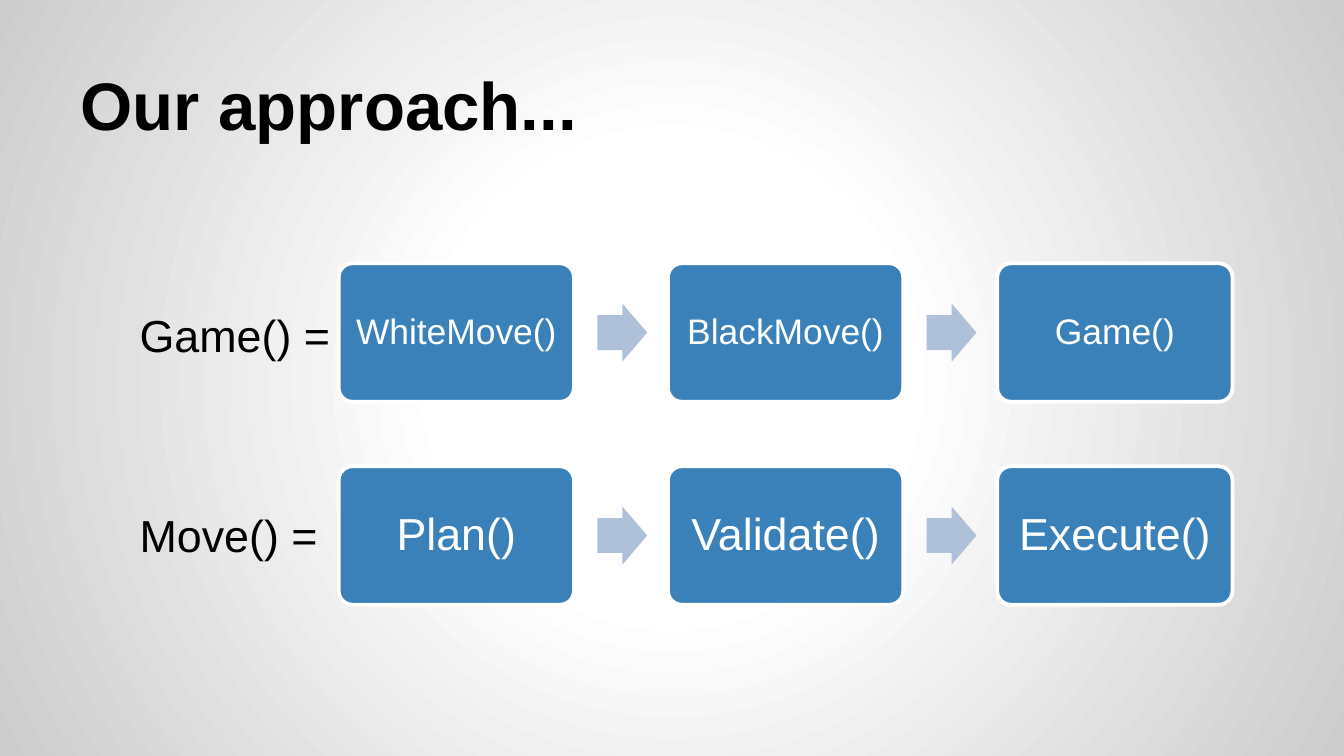
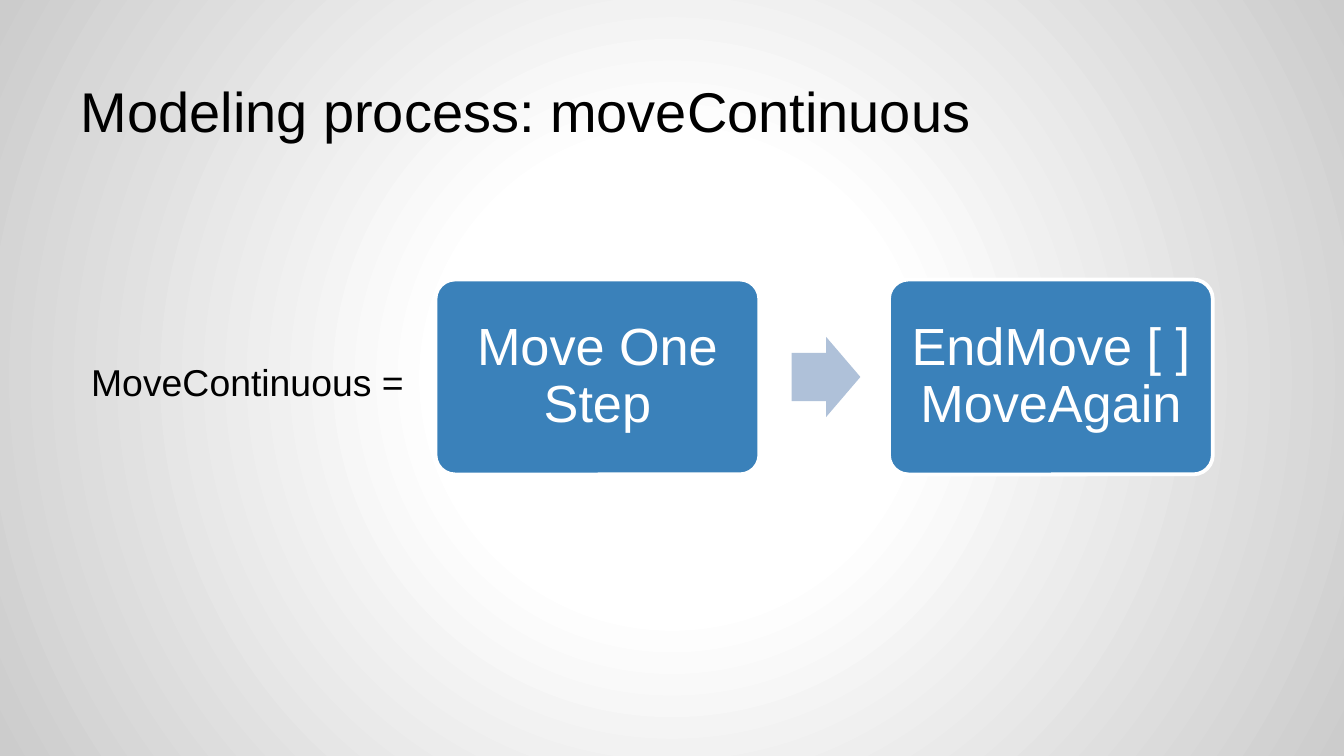
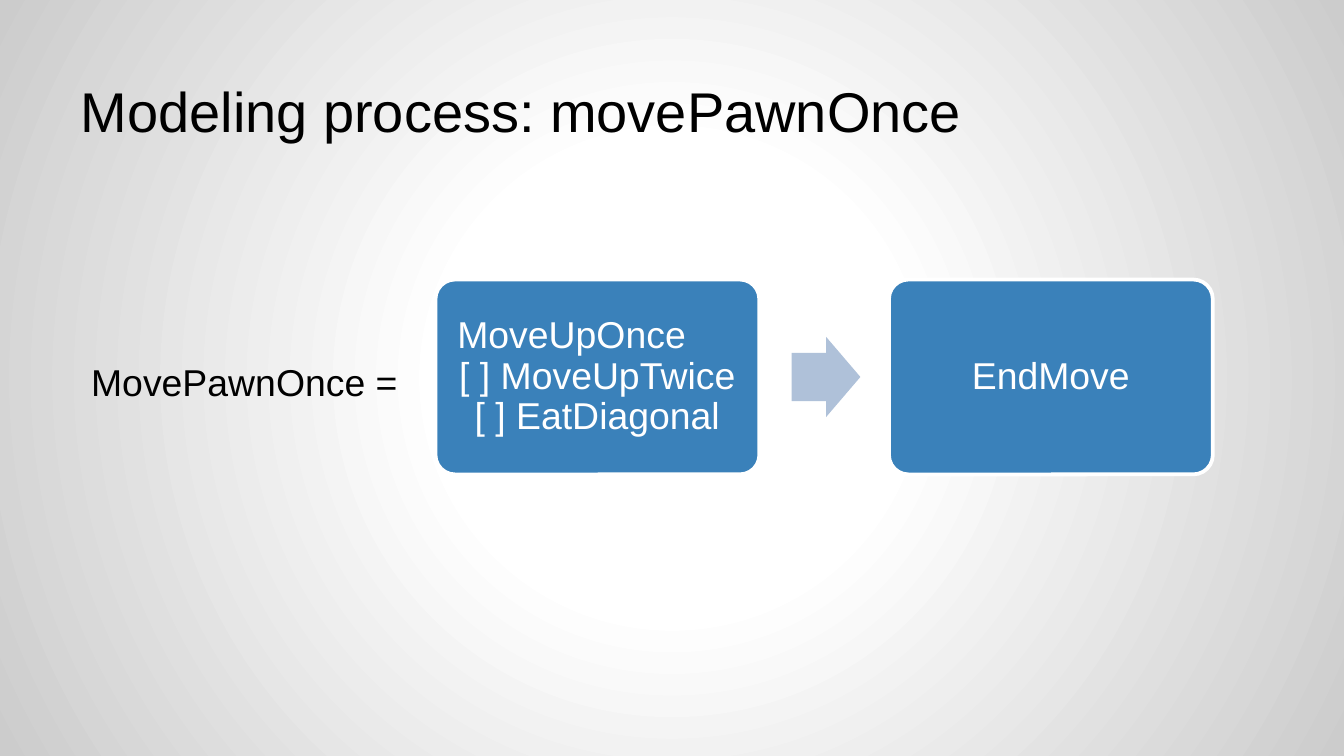
from lxml import etree
from pptx import Presentation
from pptx import util as u
from pptx.dml.color import RGBColor
from pptx.enum import shapes, text
from pptx.oxml import ns

COLORS = {
    "ink": "000000",
    "paper": "FFFFFF",
    "edge": "CCCCCC",
    "step": "3A81BA",
    "arrow": "AFC1D9",
}
FONT = "Arial"
LEFT, CENTER = text.PP_ALIGN.LEFT, text.PP_ALIGN.CENTER
SMALL_FLOW = {"left": 2.52, "width": 1.75, "height": 1.03}
LARGE_FLOW = {"left": 3.24, "top": 2.08, "width": 2.41, "height": 1.45}


def rgb(key):
    """Return a palette colour."""
    return RGBColor.from_string(COLORS[key])


def write(frame, content, size, color="ink", bold=False, aligns=(LEFT,), spacing=1.0,
          inset=0.1, inset_y=None, anchor=text.MSO_ANCHOR.TOP, wrap=True):
    """Fill a text frame, one paragraph a line, each with its own alignment."""
    frame.auto_size = text.MSO_AUTO_SIZE.NONE
    frame.word_wrap = wrap
    frame.vertical_anchor = anchor
    frame.margin_left = frame.margin_right = u.Inches(inset)
    frame.margin_top = frame.margin_bottom = u.Inches(inset if inset_y is None else inset_y)
    frame.text = content
    for index, paragraph in enumerate(frame.paragraphs):
        paragraph.alignment = aligns[index % len(aligns)]
        paragraph.line_spacing = spacing
        paragraph.space_before = paragraph.space_after = u.Pt(0)
        font = paragraph.font
        font.name, font.size, font.bold = FONT, u.Pt(size), bold
        font.color.rgb = rgb(color)


def set_background(master):
    """Give every slide a radial gradient that darkens towards the edges."""
    master.background.fill.solid()
    solid = master.element.find(".//" + ns.qn("p:bgPr")).find(ns.qn("a:solidFill"))
    gradient = etree.Element(ns.qn("a:gradFill"), rotWithShape="1")
    stops = etree.SubElement(gradient, ns.qn("a:gsLst"))
    for position, color in ((0, "paper"), (30, "paper"), (100, "edge")):
        stop = etree.SubElement(stops, ns.qn("a:gs"), pos=str(position * 1000))
        etree.SubElement(stop, ns.qn("a:srgbClr"), val=COLORS[color])
    circle = etree.SubElement(gradient, ns.qn("a:path"), path="circle")
    etree.SubElement(circle, ns.qn("a:fillToRect"), l="50000", t="50000", r="50000", b="50000")
    solid.getparent().replace(solid, gradient)


def add_titled_slide(deck, heading, size=30, bold=False):
    """Add a slide with its title in the shared place."""
    slide = deck.slides.add_slide(deck.slide_layouts[5])
    title = slide.shapes.title
    title.left, title.top = u.Inches(0.5), u.Inches(0.23)
    title.width, title.height = u.Inches(9), u.Inches(0.94)
    write(title.text_frame, heading, size, bold=bold, anchor=text.MSO_ANCHOR.BOTTOM)
    return slide


def add_label(slide, content, left, top, width, height, **style):
    """Add the left side of a process equation."""
    label = slide.shapes.add_textbox(*map(u.Inches, (left, top, width, height)))
    write(label.text_frame, content, wrap=False, **style)


def add_block(group, preset, left, top, width, height, fill, adjustments):
    """Add a filled shape without shadow or outline to a flow."""
    block = group.shapes.add_shape(preset, *map(u.Inches, (left, top, width, height)))
    block.shadow.inherit = False
    block.fill.solid()
    block.fill.fore_color.rgb = rgb(fill)
    block.line.fill.background()
    for index, value in enumerate(adjustments):
        block.adjustments[index] = value
    return block


def add_flow(slide, steps, left, top, width, height, size, inset, aligns=(CENTER,)):
    """Add a row of steps joined by block arrows sized from the step width."""
    group = slide.shapes.add_group_shape()
    for index, content in enumerate(steps):
        step_left = left + index * 1.4 * width
        if index:
            arrow_height = 0.248 * width
            add_block(group, shapes.MSO_SHAPE.RIGHT_ARROW, step_left - 0.3 * width,
                      top + (height - arrow_height) / 2, 0.212 * width, arrow_height,
                      "arrow", (0.6, 0.5))
        step = add_block(group, shapes.MSO_SHAPE.ROUNDED_RECTANGLE, step_left, top,
                         width, height, "step", (0.1,))
        step.line.color.rgb = rgb("paper")
        step.line.width = u.Pt(2)
        write(step.text_frame, content, size, color="paper", spacing=0.9, inset=inset,
              aligns=aligns if "\n" in content else (CENTER,),
              anchor=text.MSO_ANCHOR.MIDDLE)


def add_process_slide(deck, process, definition, steps, **style):
    """Add a slide that models one process as a large flow."""
    slide = add_titled_slide(deck, f"Modeling process: {process}")
    add_flow(slide, steps, inset=0.12, **LARGE_FLOW, **style)
    add_label(slide, definition, 0.58, 2.62, 2.6, 0.44, size=20, inset_y=0.05)


def main():
    """Build the deck."""
    deck = Presentation()
    deck.slide_width = u.Inches(10)
    deck.slide_height = u.Inches(10 * 9 / 16)
    set_background(deck.slide_master)

    approach = add_titled_slide(deck, "Our approach...", size=36, bold=True)
    add_label(approach, "Game() =", 0.94, 2.19, 1.58, 0.58, size=24)
    add_label(approach, "Move() =", 0.94, 3.68, 1.58, 0.58, size=24)
    add_flow(approach, ("WhiteMove()", "BlackMove()", "Game()"),
             top=1.96, size=19, inset=0.08, **SMALL_FLOW)
    add_flow(approach, ("Plan()", "Validate()", "Execute()"),
             top=3.47, size=24, inset=0.1, **SMALL_FLOW)

    add_process_slide(deck, "moveContinuous", "MoveContinuous =",
                      ("Move One Step", "EndMove [ ] MoveAgain"), size=28)
    add_process_slide(deck, "movePawnOnce", "MovePawnOnce =",
                      ("MoveUpOnce\n[ ] MoveUpTwice\n[ ] EatDiagonal", "EndMove"),
                      size=20, aligns=(LEFT, CENTER, CENTER))

    deck.save("out.pptx")


if __name__ == "__main__":
    main()
